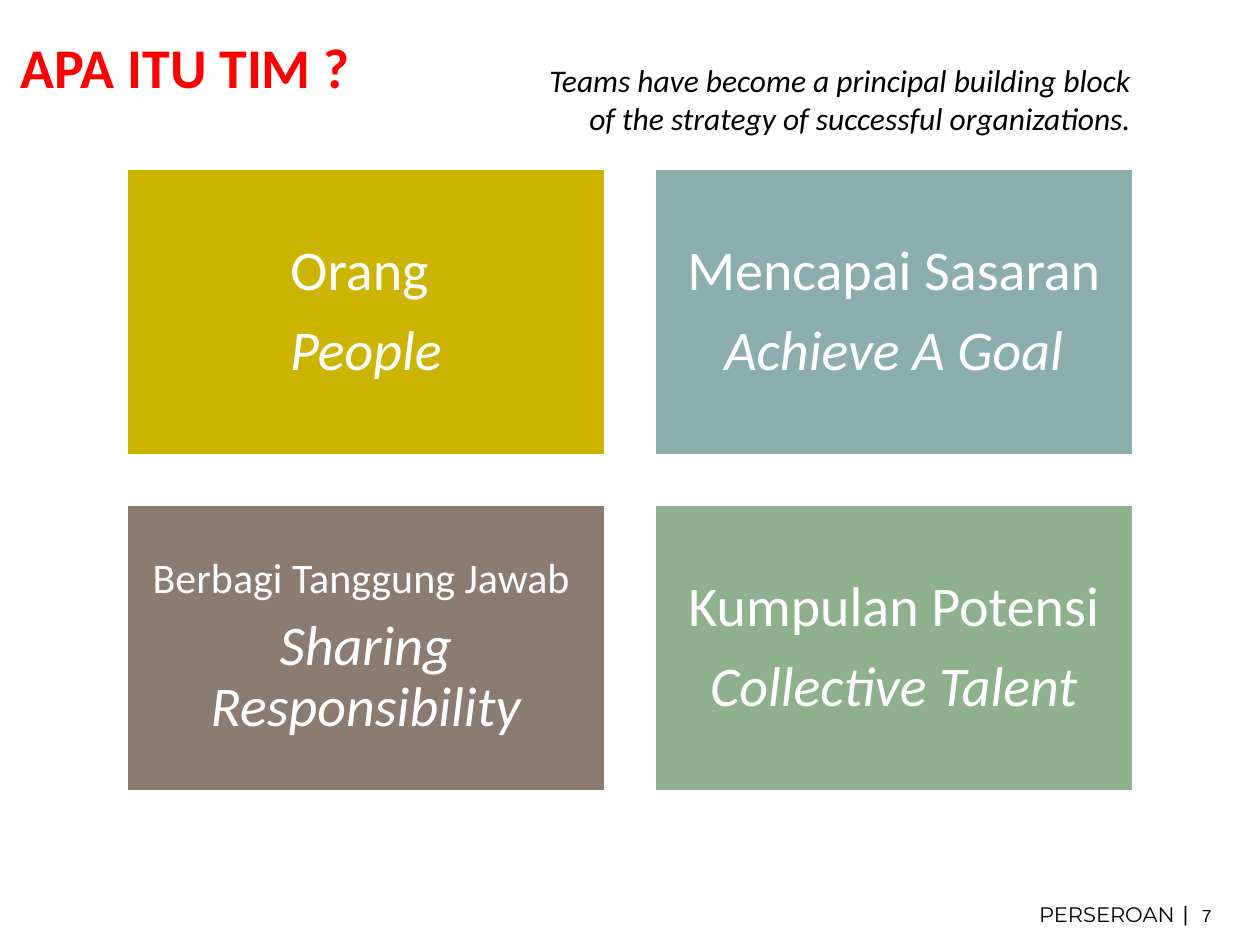
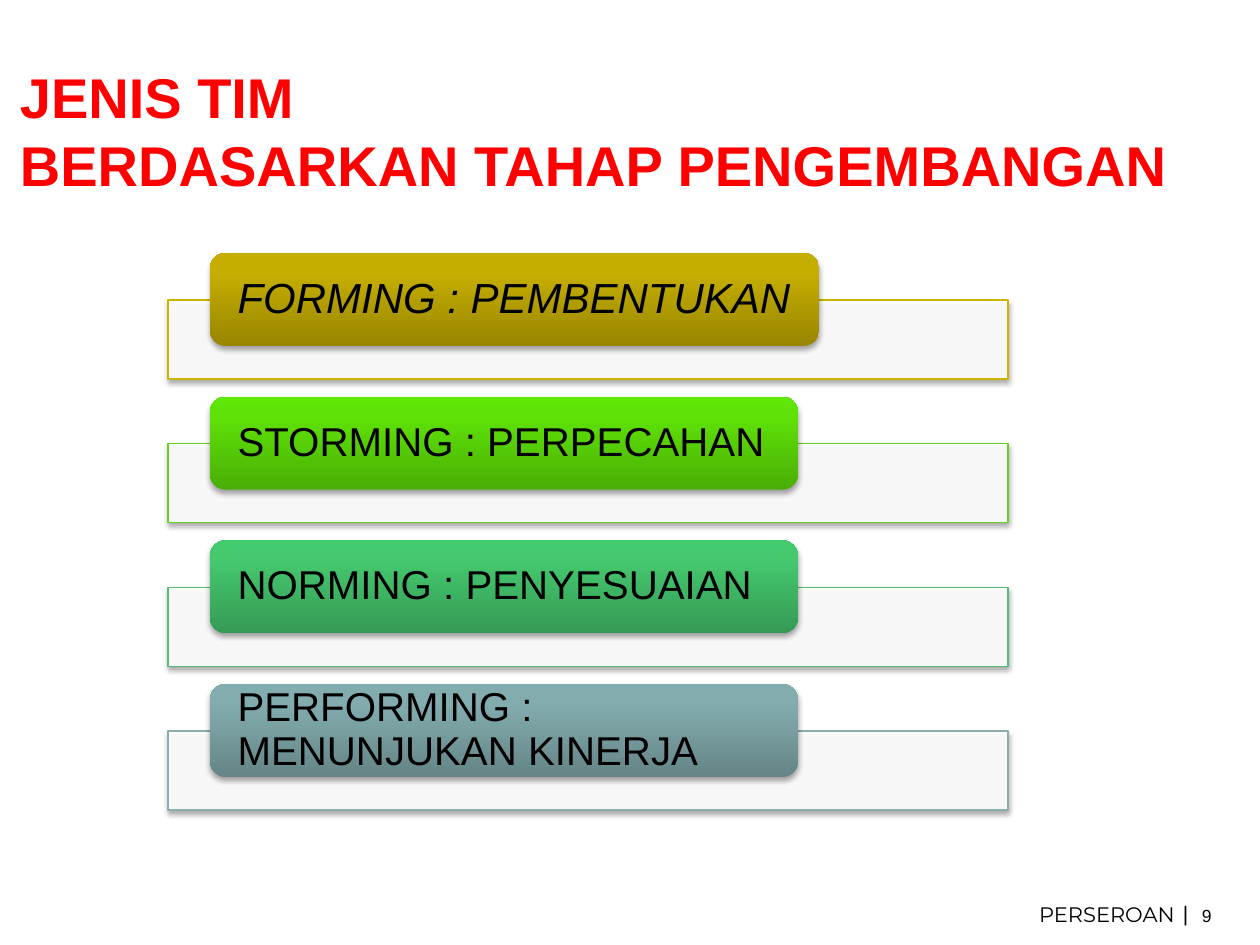
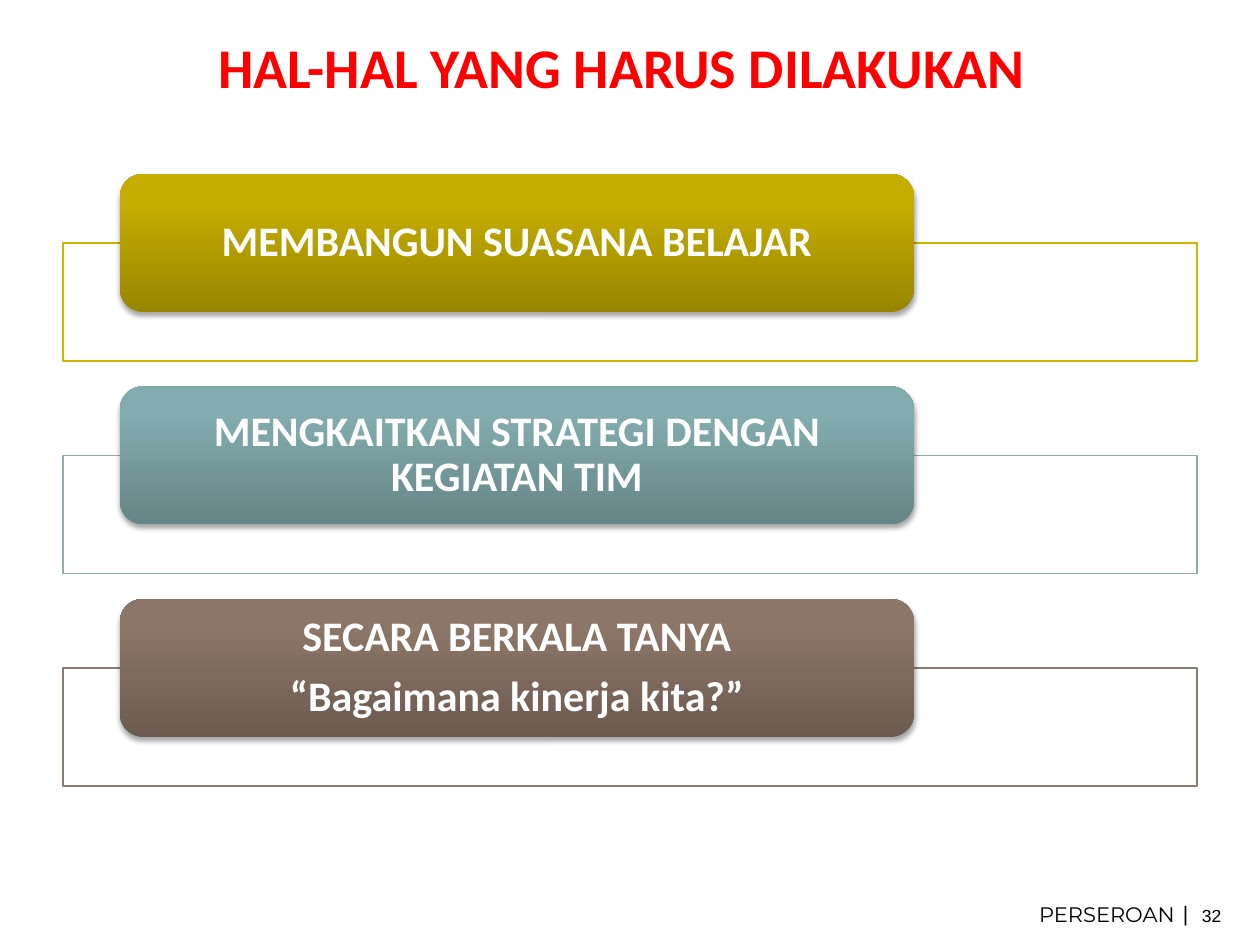
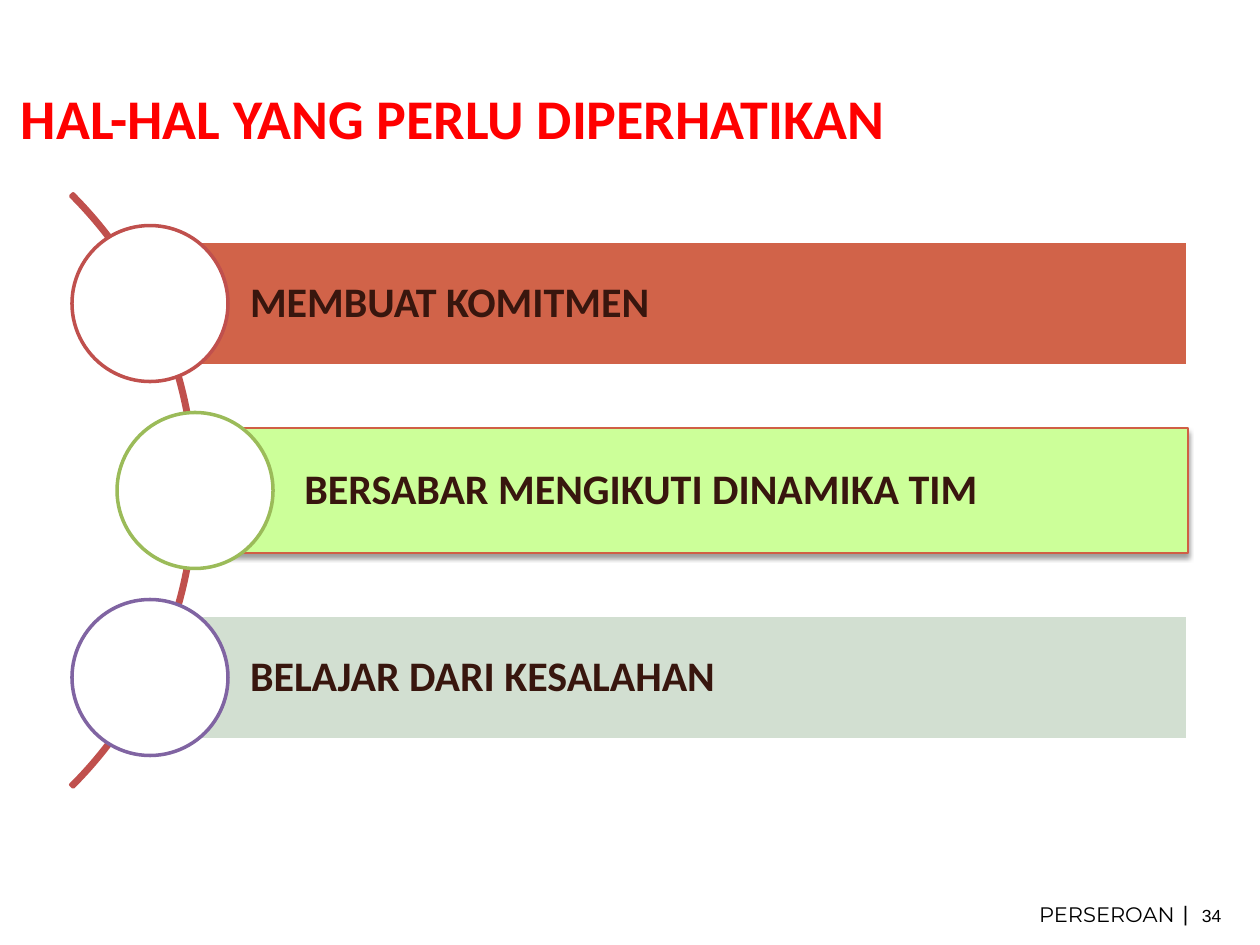
import pptx
import pptx.util
import pptx.dml.color
import pptx.enum.shapes
import pptx.enum.text
import pptx.oxml
import pptx.oxml.ns
import lxml.etree

PIXEL = 914400 / 126
SHAPES = pptx.enum.shapes.MSO_SHAPE
ANCHORS = {"top": pptx.enum.text.MSO_ANCHOR.TOP, "middle": pptx.enum.text.MSO_ANCHOR.MIDDLE}
ALIGNS = {
    "left": pptx.enum.text.PP_ALIGN.LEFT,
    "center": pptx.enum.text.PP_ALIGN.CENTER,
    "right": pptx.enum.text.PP_ALIGN.RIGHT,
}

# Shared colours
RED, BLACK, WHITE, BROWN = "FF0000", "000000", "FFFFFF", "38160E"
GOLD, TEAL, TAUPE, SAGE = "CCB400", "8CADAE", "8C7B70", "8FB08C"
LIME, EMERALD = "67D021", "56BF77"
GRADIENTS = {  # bottom, near top, top
    GOLD: ("988600", "C6AE00", "C7AF00"),
    LIME: ("49AE05", "5FE207", "5FE803"),
    EMERALD: ("359A55", "45C86E", "42CC6D"),
    TEAL: ("658586", "83ACAE", "82AEAF"),
    TAUPE: ("6C5B50", "8C7668", "8D7768"),
}


def px(length):
    return pptx.util.Emu(round(length * PIXEL))


def rgb(value):
    return pptx.dml.color.RGBColor.from_string(value)


def add_child(parent, tag, **attributes):
    child = lxml.etree.SubElement(parent, pptx.oxml.ns.qn(tag))
    for name, value in attributes.items():
        child.set(name, str(value))
    return child


def find(shape, tag):
    return shape.element.spPr.find(".//" + pptx.oxml.ns.qn(tag))


def write_text(shape, lines, size=24, font="Calibri", color=BLACK, bold=False, italic=False,
               align="left", anchor="top", insets=(0, 0, 0, 0), wrap=True,
               spacing=None, after=0):
    """Each line is a string, or a string with its own size or italic."""
    frame = shape.text_frame
    frame.word_wrap = wrap
    frame.vertical_anchor = ANCHORS[anchor]
    (frame.margin_left, frame.margin_top,
     frame.margin_right, frame.margin_bottom) = [px(inset) for inset in insets]
    for index, line in enumerate(lines):
        words, own = (line, {}) if isinstance(line, str) else line
        para = frame.paragraphs[0] if index == 0 else frame.add_paragraph()
        para.alignment = ALIGNS[align]
        line_size = own.get("size", size)
        if spacing:
            para.line_spacing = spacing
        para.space_after = pptx.util.Pt(round(line_size * after, 1))
        for part_index, part in enumerate(words.split("\n")):
            if part_index:
                para.add_line_break()
            span = para.add_run()
            span.text = part
            span.font.name = font
            span.font.size = pptx.util.Pt(line_size)
            span.font.bold = bold
            span.font.italic = own.get("italic", italic)
            span.font.color.rgb = rgb(color)


def add_text(page, box, lines, **style):
    shape = page.shapes.add_textbox(*[px(length) for length in box])
    write_text(shape, lines, **style)
    return shape


def add_shape(page, kind, box, fill=None, line=None, width=2, alpha=None, shadow=None):
    """The fill is a colour or a tuple of three gradient colours."""
    shape = page.shapes.add_shape(kind, *[px(length) for length in box])
    if fill is None:
        shape.fill.background()
    elif isinstance(fill, tuple):
        shape.fill.gradient()
        shape.fill.gradient_angle = 90
        stops = find(shape, "a:gsLst")
        for stop in list(stops):
            stops.remove(stop)
        for position, color in zip((0, 80000, 100000), fill):
            add_child(add_child(stops, "a:gs", pos=position), "a:srgbClr", val=color)
    else:
        shape.fill.solid()
        shape.fill.fore_color.rgb = rgb(fill)
        if alpha:
            add_child(find(shape, "a:srgbClr"), "a:alpha", val=alpha * 1000)
    if line:
        shape.line.color.rgb = rgb(line)
        shape.line.width = pptx.util.Pt(width)
    else:
        shape.line.fill.background()
    shape.shadow.inherit = False
    if shadow:
        outer = add_child(find(shape, "a:effectLst"), "a:outerShdw", blurRad=39400,
                          dist=22900, dir=5400000, rotWithShape=0)
        add_child(add_child(outer, "a:srgbClr", val=BLACK), "a:alpha", val=shadow * 1000)
    return shape


def add_page(deck, title, box, number, **style):
    page = deck.slides.add_slide(deck.slide_layouts[6])
    page.background.fill.solid()
    page.background.fill.fore_color.rgb = rgb(WHITE)
    # Footer
    add_text(page, (1022, 896, 170, 39), ["PERSEROAN"], size=12, font="Montserrat",
             align="center", insets=(13, 6, 13, 6))
    add_text(page, (1183, 900, 5, 26), ["|"], size=12, font="Arial",
             align="right", anchor="middle", wrap=False)
    add_text(page, (1202, 905, 28, 21), [f"{number} "], size=10, font="Arial", wrap=False)
    # Title
    add_text(page, box, [title], size=32, color=RED, bold=True, **style)
    return page


def add_card(page, box, color, lines, inset):
    card = add_shape(page, SHAPES.RECTANGLE, box, color, WHITE)
    write_text(card, lines, size=32, color=WHITE, align="center", anchor="middle",
               insets=[inset] * 4, spacing=0.9, after=0.35)


def add_tab_row(page, box, tab, theme, lines, panel_shadow=None, **style):
    """An outlined panel with a rounded tab; the tab is placed from the panel's corner."""
    left, top = box[:2]
    add_shape(page, SHAPES.RECTANGLE, box, WHITE, theme, 0.75, alpha=90, shadow=panel_shadow)
    tab_box = (left + tab[0], top + tab[1], tab[2], tab[3])
    label = add_shape(page, SHAPES.ROUNDED_RECTANGLE, tab_box, GRADIENTS[theme], shadow=35)
    write_text(label, lines, anchor="middle", spacing=0.9, after=0.35, **style)


def add_ring_bar(page, box, fill, ring, lines, line=WHITE, width=2, shadow=None):
    """A bar whose left edge carries a ring."""
    left, top, _, height = box
    diameter = 156
    bar = add_shape(page, SHAPES.RECTANGLE, box, fill, line, width, shadow=shadow)
    write_text(bar, lines, color=BROWN, bold=True, anchor="middle",
               insets=(100, 9, 9, 9), spacing=0.9, after=0.35)
    add_shape(page, SHAPES.OVAL, (left - diameter / 2, top + (height - diameter) / 2,
                                  diameter, diameter), WHITE, ring)


def build_team_page(deck):
    page = add_page(deck, "APA ITU TIM ?", (21, 33, 1212, 68), 7)
    italic = {"italic": True}
    cards = [
        (GOLD, ["Orang ", ("People", italic)], 17),
        (TEAL, ["Mencapai Sasaran", ("Achieve A Goal", italic)], 17),
        (TAUPE, [("Berbagi Tanggung Jawab ", {"size": 24}),
                 ("Sharing Responsibility", italic)], 13),
        (SAGE, ["Kumpulan Potensi", ("Collective Talent", italic)], 17),
    ]
    width, height, gap = 480, 288, 48
    for index, (color, lines, inset) in enumerate(cards):
        row, column = divmod(index, 2)
        box = (126 + column * (width + gap), 168 + row * (height + gap), width, height)
        add_card(page, box, color, lines, inset)
    # Quotation
    add_text(page, (514, 55, 630, 89),
             ["Teams have become a principal building block of the strategy of "
              "successful organizations."],
             size=18, italic=True, align="right", insets=(13, 6, 13, 6))


def build_stages_page(deck):
    page = add_page(deck, "JENIS TIM\nBERDASARKAN TAHAP PENGEMBANGAN", (20, 63, 1212, 136), 9,
                    font="Arial")
    stages = [
        (GOLD, "FORMING : PEMBENTUKAN", 609, {"size": 24, "italic": True}),
        (LIME, "STORMING : PERPECAHAN", 588, {"size": 23}),
        (EMERALD, "NORMING : PENYESUAIAN", 588, {"size": 23}),
        (TEAL, "PERFORMING : MENUNJUKAN KINERJA", 588, {"size": 23}),
    ]
    for index, (theme, label, width, style) in enumerate(stages):
        add_tab_row(page, (168, 300 + index * 143.7, 840, 79), (42, -47, width, 93), theme,
                    [label], panel_shadow=35, font="Arial", insets=(23, 0, 23, 0), **style)


def build_actions_page(deck):
    page = add_page(deck, "HAL-HAL YANG HARUS DILAKUKAN", (16, 33, 1212, 68), 32,
                    align="center")
    actions = [
        (GOLD, ["MEMBANGUN SUASANA BELAJAR"]),
        (TEAL, ["MENGKAITKAN STRATEGI DENGAN KEGIATAN TIM"]),
        (TAUPE, ["SECARA BERKALA TANYA", "“Bagaimana kinerja kita?”"]),
    ]
    for index, (theme, lines) in enumerate(actions):
        add_tab_row(page, (63, 243 + index * 212.5, 1134, 118), (57, -69, 794, 138), theme,
                    lines, color=WHITE, bold=True, align="center", insets=(30, 0, 30, 0))


def build_attention_page(deck):
    page = add_page(deck, "HAL-HAL YANG PERLU DIPERHATIKAN", (21, 84, 1212, 68), 34)
    # Arc behind the rings
    arc = add_shape(page, SHAPES.BLOCK_ARC, (-643, 71, 839, 839), line="C0504D")
    for index, value in enumerate((189, 27, 0.004)):
        arc.adjustments[index] = value
    # Bars share their right edge
    right = 1188
    bars = [
        (150, "D16349", "C0504D", "MEMBUAT KOMITMEN", {}),
        (195, "CCFF99", "9BBB59", " BERSABAR MENGIKUTI DINAMIKA TIM",
         {"line": "D05F44", "width": 0.75, "shadow": 38}),
        (150, "D2DFD1", "8064A2", "BELAJAR DARI KESALAHAN", {}),
    ]
    for index, (left, fill, ring, label, style) in enumerate(bars):
        add_ring_bar(page, (left, 241 + index * 187, right - left, 125), fill, ring,
                     [label], **style)


deck = pptx.Presentation()
deck.slide_width, deck.slide_height = px(1260), px(945)
build_team_page(deck)
build_stages_page(deck)
build_actions_page(deck)
build_attention_page(deck)
deck.save("out.pptx")
